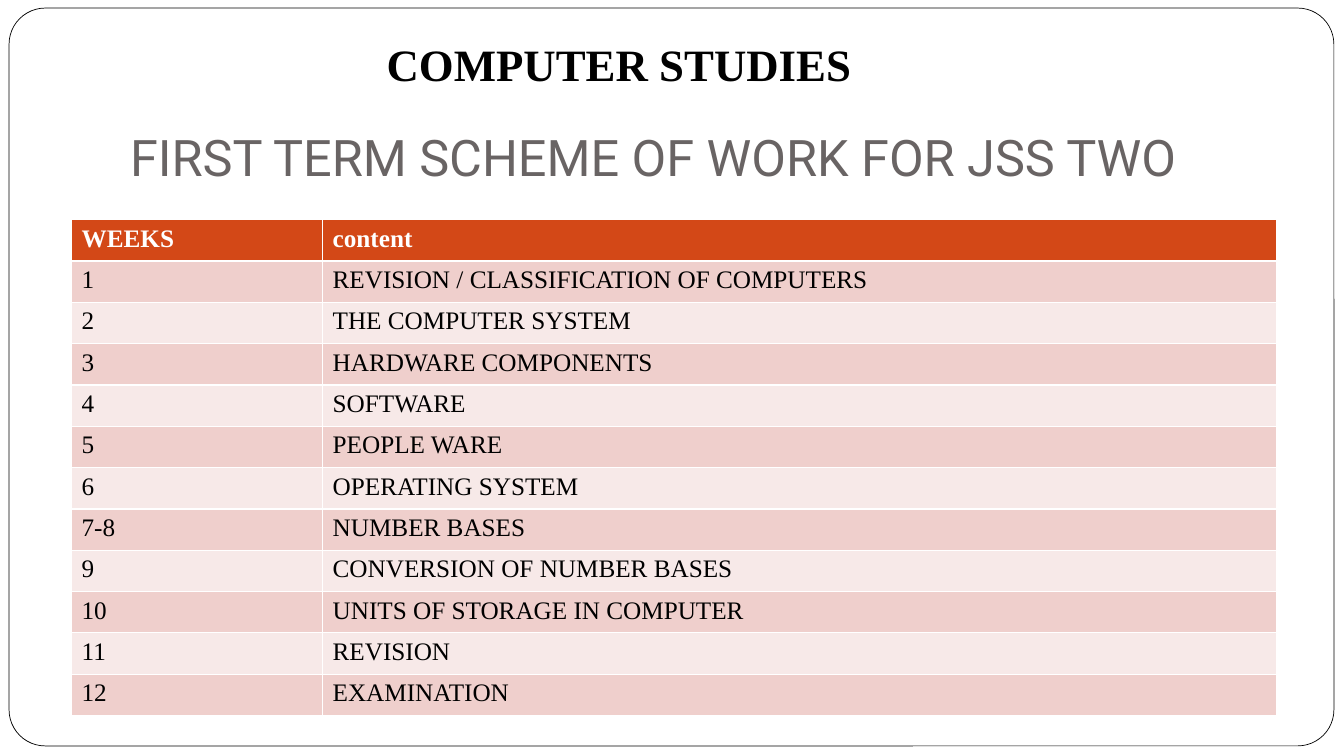
"""Build the first term scheme of work slide for computer studies."""
from pptx import Presentation
from pptx.dml.color import RGBColor
from pptx.enum.shapes import MSO_SHAPE
from pptx.enum.text import MSO_ANCHOR, MSO_AUTO_SIZE, PP_ALIGN
from pptx.util import Inches, Pt

ROUND = MSO_SHAPE.ROUNDED_RECTANGLE
BOTTOM = MSO_ANCHOR.BOTTOM
FIXED, GROW = MSO_AUTO_SIZE.NONE, MSO_AUTO_SIZE.SHAPE_TO_FIT_TEXT
LEFT, CENTER = PP_ALIGN.LEFT, PP_ALIGN.CENTER
WHITE = RGBColor(0xFF, 0xFF, 0xFF)
BLACK = RGBColor(0x00, 0x00, 0x00)
GRAY = RGBColor(0x69, 0x64, 0x64)
RUST = RGBColor(0xD3, 0x48, 0x17)
ROSE = RGBColor(0xEF, 0xCF, 0xCC)
PALE = RGBColor(0xF7, 0xE9, 0xE8)
SERIF = "Times New Roman"

ROWS = [
    ("WEEKS", "content"),
    ("1", "REVISION / CLASSIFICATION OF COMPUTERS"),
    ("2", "THE COMPUTER SYSTEM"),
    ("3", "HARDWARE COMPONENTS"),
    ("4", "SOFTWARE"),
    ("5", "PEOPLE WARE"),
    ("6", "OPERATING SYSTEM"),
    ("7-8", "NUMBER BASES"),
    ("9", "CONVERSION OF NUMBER BASES"),
    ("10", "UNITS OF STORAGE IN COMPUTER"),
    ("11", "REVISION"),
    ("12", "EXAMINATION"),
]
COLS = (2.49, 9.46)
STEP = 0.41


def write(frame, text, size, font, color, bold=False, align=LEFT):
    para = frame.paragraphs[0]
    para.alignment = align
    run = para.add_run()
    run.text = text
    run.font.size = Pt(size)
    run.font.name = font
    run.font.bold = bold
    run.font.color.rgb = color


def box(*sides):
    return [Inches(side) for side in sides]


deck = Presentation()
deck.slide_width, deck.slide_height = box(13.33, 7.5)
slide = deck.slides.add_slide(deck.slide_layouts[5])
shapes = slide.shapes

border = shapes.add_shape(ROUND, *box(0.09, 0.08, 13.14, 7.32))
border.adjustments[0] = 0.049
border.shadow.inherit = False
border.fill.solid()
border.fill.fore_color.rgb = WHITE
border.line.color.rgb = BLACK
border.line.width = Pt(0.5)
shapes._spTree.insert(2, border._element)

title = shapes.title
title.left, title.top, title.width, title.height = box(1.19, 1.35, 11.5, 0.6)
frame = title.text_frame
frame.auto_size = FIXED
frame.vertical_anchor = BOTTOM
frame.margin_bottom = Inches(0.1)
write(frame, "FIRST TERM SCHEME OF WORK FOR JSS TWO", 36, "Roboto", GRAY)

place = box(0.71, 2.18, sum(COLS), STEP * len(ROWS))
table = shapes.add_table(len(ROWS), len(COLS), *place).table
for col, width in zip(table.columns, COLS):
    col.width = Inches(width)
for i, texts in enumerate(ROWS):
    table.rows[i].height = Inches(STEP)
    head = i == 0
    fill = RUST if head else ROSE if i % 2 else PALE
    for j, text in enumerate(texts):
        cell = table.cell(i, j)
        cell.fill.solid()
        cell.fill.fore_color.rgb = fill
        write(cell.text_frame, text, 18, SERIF, WHITE if head else BLACK, head)

course = shapes.add_textbox(*box(2.24, 0.32, 7.8, 0.64)).text_frame
course.word_wrap = True
course.auto_size = GROW
write(course, "COMPUTER STUDIES", 32, SERIF, BLACK, True, CENTER)

deck.save("out.pptx")
